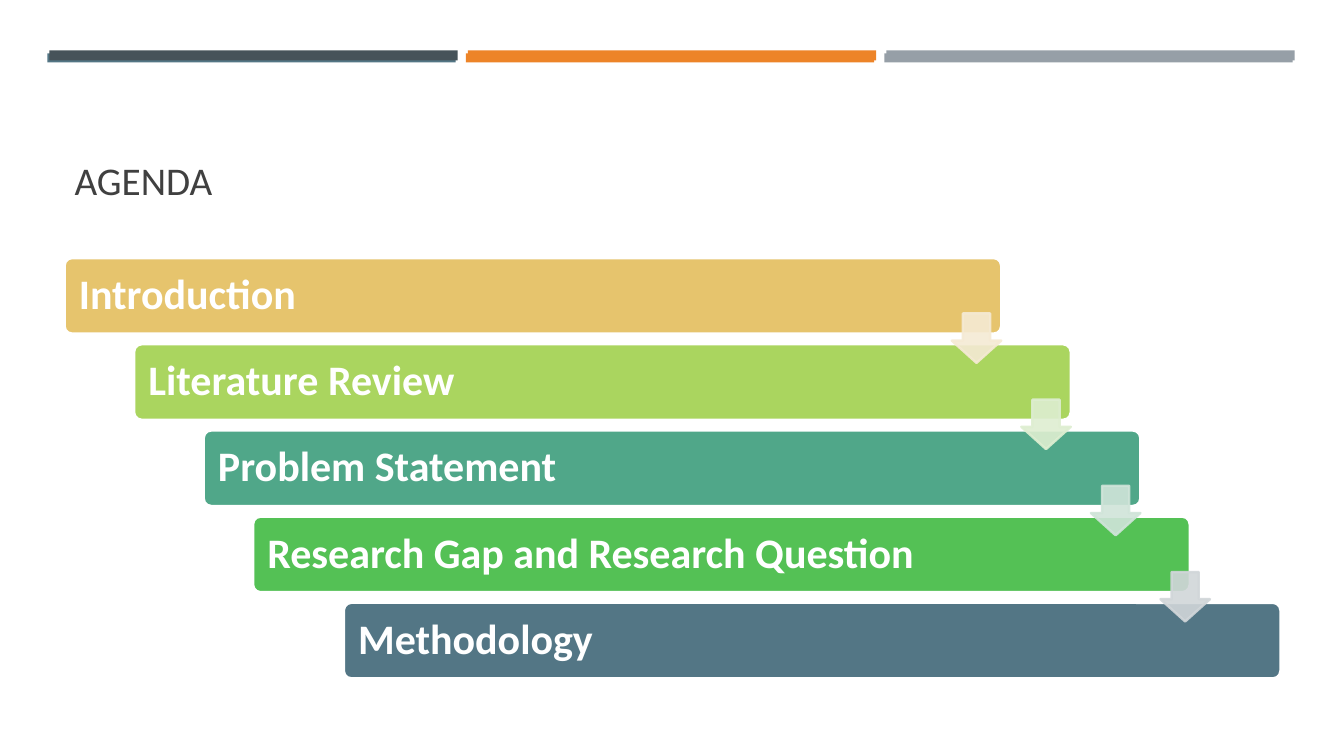
from dataclasses import dataclass

from lxml.etree import SubElement
from pptx import Presentation
from pptx.dml.color import RGBColor
from pptx.enum.shapes import MSO_SHAPE
from pptx.enum.text import MSO_ANCHOR, PP_ALIGN
from pptx.oxml.ns import qn
from pptx.util import Inches, Pt


@dataclass(frozen=True)
class Theme:
    font: str = "Calibri"
    title_size: int = 28
    step_size: int = 30
    outline: float = 1.75
    title: str = "404040"
    white: str = "FFFFFF"
    back_strips: tuple = ("537685", "ED8428", "969FA7")
    front_strips: tuple = ("465359", "ED8428", "969FA7")
    steps: tuple = ("E6C46D", "AAD55F", "50A789", "54C155", "537685")
    arrows: tuple = ("F5EAD4", "DEEED1", "D0E4D9", "D1D6D9")


THEME = Theme()
AGENDA = [
    ("Introduction", 0.64),
    ("Literature Review", 1.33),
    ("Problem Statement", 2.02),
    ("Research Gap and Research Question", 2.51),
    ("Methodology", 3.41),
]
STEP_TOP, STEP_PITCH = 2.56, 0.855
ARROW_LEFT, ARROW_TOP, ARROW_SHIFT = 9.44, 3.11, 0.69


def add_filled(slide, kind, left, top, width, height, color, outline=None):
    shape = slide.shapes.add_shape(
        kind, Inches(left), Inches(top), Inches(width), Inches(height))
    shape.shadow.inherit = False
    shape.fill.solid()
    shape.fill.fore_color.rgb = RGBColor.from_string(color)
    if outline:
        shape.line.color.rgb = RGBColor.from_string(outline)
        shape.line.width = Pt(THEME.outline)
    else:
        shape.line.fill.background()
    return shape


def style_text(frame, size, color, bold=False):
    paragraph = frame.paragraphs[0]
    paragraph.alignment = PP_ALIGN.LEFT
    font = paragraph.runs[0].font
    font.name = THEME.font
    font.size = Pt(size)
    font.bold = bold
    font.color.rgb = RGBColor.from_string(color)


def add_strips(slide, left, top, height, colors):
    for column, color in enumerate(colors):
        add_filled(slide, MSO_SHAPE.RECTANGLE, left + 4.15 * column, top,
                   4.05, height, color)


def add_title(slide, text):
    title = slide.shapes.title
    title.left, title.top = Inches(0.64), Inches(0.77)
    title.width, title.height = Inches(12.06), Inches(1.3)
    title.text_frame.text = text
    title.text_frame.vertical_anchor = MSO_ANCHOR.BOTTOM
    style_text(title.text_frame, THEME.title_size, THEME.title)


def add_step(slide, text, left, top, color):
    step = add_filled(slide, MSO_SHAPE.ROUNDED_RECTANGLE, left, top,
                      9.29, 0.75, color, THEME.white)
    step.adjustments[0] = 0.1
    frame = step.text_frame
    frame.text = text
    frame.word_wrap = True
    frame.vertical_anchor = MSO_ANCHOR.MIDDLE
    frame.margin_left = frame.margin_right = Inches(0.12)
    frame.margin_top = frame.margin_bottom = Inches(0.12)
    frame.paragraphs[0].line_spacing = 0.9
    style_text(frame, THEME.step_size, THEME.white, bold=True)


def add_arrow(slide, left, top, color):
    """Add a slightly transparent arrow leading to the next step."""
    arrow = add_filled(slide, MSO_SHAPE.DOWN_ARROW, left, top,
                       0.49, 0.49, color, color)
    arrow.adjustments[0] = 0.55
    arrow.adjustments[1] = 0.45
    for rgb in arrow.element.spPr.iter(qn("a:srgbClr")):
        SubElement(rgb, qn("a:alpha")).set("val", "90000")


def main():
    deck = Presentation()
    deck.slide_width, deck.slide_height = Inches(13.33), Inches(7.5)
    slide = deck.slides.add_slide(deck.slide_layouts.get_by_name("Title Only"))

    add_strips(slide, 0.47, 0.53, 0.09, THEME.back_strips)
    add_strips(slide, 0.49, 0.5, 0.1, THEME.front_strips)
    add_title(slide, "AGENDA")
    for row, ((text, left), color) in enumerate(zip(AGENDA, THEME.steps)):
        add_step(slide, text, left, STEP_TOP + STEP_PITCH * row, color)
    for row, color in enumerate(THEME.arrows):
        add_arrow(slide, ARROW_LEFT + ARROW_SHIFT * row,
                  ARROW_TOP + STEP_PITCH * row, color)

    deck.save("out.pptx")


if __name__ == "__main__":
    main()
